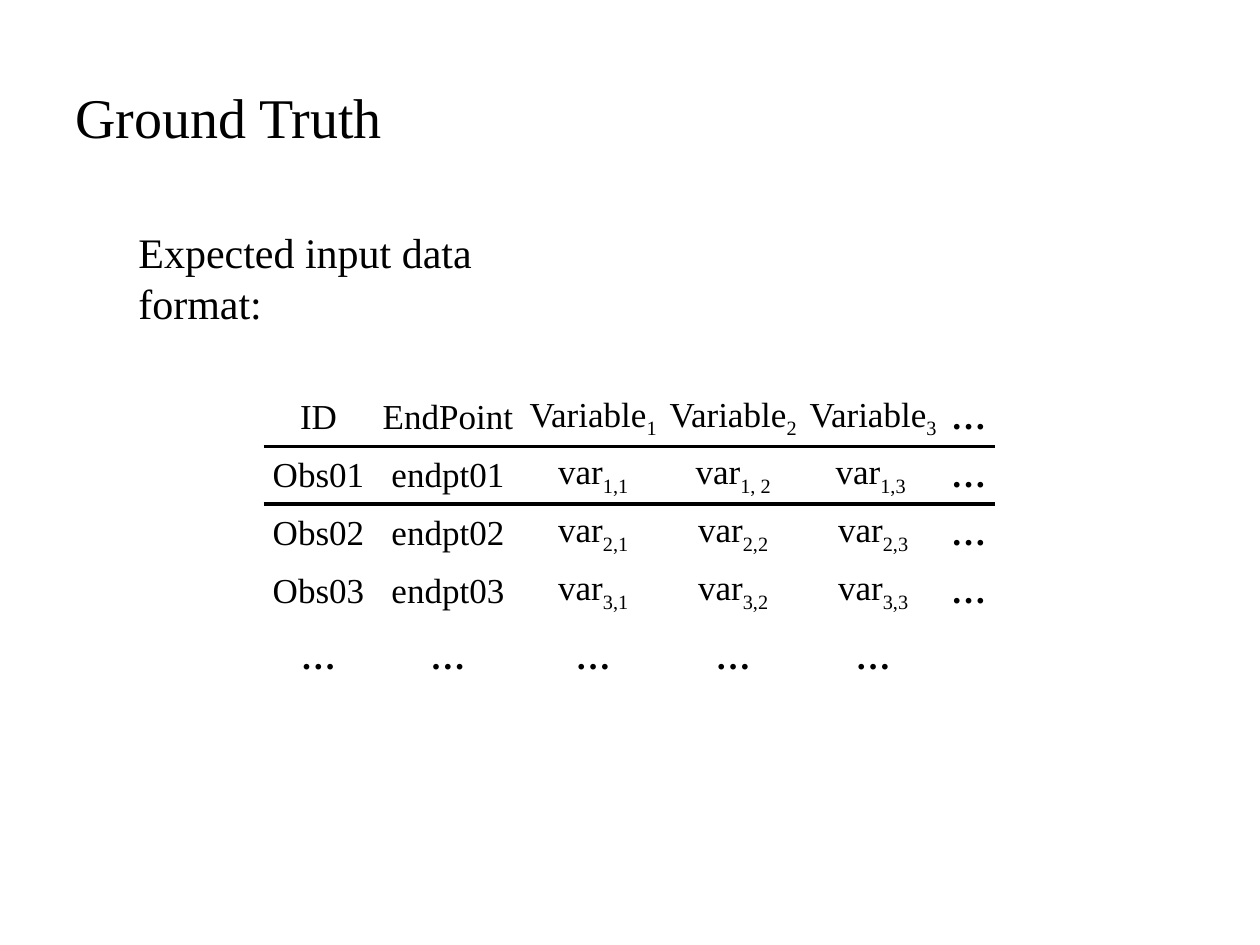
from dataclasses import dataclass

from lxml.etree import SubElement
from pptx import Presentation
from pptx.dml.color import RGBColor
from pptx.enum.text import MSO_ANCHOR as Anchor, PP_ALIGN as Align
from pptx.oxml.ns import qn
from pptx.util import Pt

FONT = "Times New Roman"
INK = "000000"
ELLIPSIS = "…"


@dataclass
class Label:
    text: str
    left: float
    top: float
    width: float
    height: float
    size: int
    anchor: Anchor


@dataclass
class Entry:
    base: str
    sub: str = ""


LABELS = [
    Label("Ground Truth", 36, 21.6, 648, 90, 32, Anchor.MIDDLE),
    Label("Expected input data format:", 72, 126, 278, 36, 24, Anchor.TOP),
]

# Observations: one row per index, one variable column per subscript
INDEXES = ["1", "2", "3"]
SPACED_SUBS = {"1,2": "1, 2", "1,3": "1,3 "}
COLUMN_WIDTHS = [62, 86, 80, 80, 80, 29]
ROW_HEIGHT = 33


def rgb(code: str) -> RGBColor:
    return RGBColor.from_string(code)


def add_run(paragraph, text: str, size: int, bold: bool = False, subscript: bool = False) -> None:
    run = paragraph.add_run()
    run.text = text
    for name, value in {"name": FONT, "size": Pt(size), "bold": bold}.items():
        setattr(run.font, name, value)
    run.font.color.rgb = rgb(INK)
    if subscript:
        run._r.get_or_add_rPr().set("baseline", "-25000")


def add_label(slide, label: Label) -> None:
    box = slide.shapes.add_textbox(Pt(label.left), Pt(label.top), Pt(label.width), Pt(label.height))
    frame = box.text_frame
    for name, value in {"word_wrap": True, "vertical_anchor": label.anchor}.items():
        setattr(frame, name, value)
    add_run(frame.paragraphs[0], label.text, label.size)


def add_rule(cell, side: str) -> None:
    line = SubElement(cell._tc.get_or_add_tcPr(), qn(f"a:{side}"), w=str(Pt(2)))
    fill = SubElement(line, qn("a:solidFill"))
    SubElement(fill, qn("a:srgbClr"), val=INK)


def fill_cell(cell, entry: Entry, anchor: Anchor) -> None:
    cell.fill.background()
    cell_format = {
        "margin_left": Pt(0.7), "margin_right": Pt(0.7), "margin_top": Pt(0.7),
        "margin_bottom": Pt(0), "vertical_anchor": anchor,
    }
    for name, value in cell_format.items():
        setattr(cell, name, value)
    paragraph = cell.text_frame.paragraphs[0]
    paragraph.alignment = Align.CENTER
    if entry.base:
        add_run(paragraph, entry.base, 20, bold=entry.base == ELLIPSIS)
    if entry.sub:
        add_run(paragraph, entry.sub, 20, subscript=True)


def data_rows() -> list[list[Entry]]:
    more = Entry(ELLIPSIS)
    rows = [[Entry("ID"), Entry("EndPoint"), *(Entry("Variable", i) for i in INDEXES), more]]
    for row in INDEXES:
        subs = [f"{row},{column}" for column in INDEXES]
        values = [Entry("var", SPACED_SUBS.get(sub, sub)) for sub in subs]
        rows.append([Entry(f"Obs0{row}"), Entry(f"endpt0{row}"), *values, more])
    rows.append([more] * 5 + [Entry("")])
    return rows


def add_data_table(slide) -> None:
    rows = data_rows()
    table = slide.shapes.add_table(
        len(rows), len(COLUMN_WIDTHS), Pt(151), Pt(222),
        Pt(sum(COLUMN_WIDTHS)), Pt(ROW_HEIGHT * len(rows)),
    ).table
    for name in ("first_row", "horz_banding"):
        setattr(table, name, False)
    for column, width in zip(table.columns, COLUMN_WIDTHS):
        column.width = Pt(width)
    for r, entries in enumerate(rows):
        table.rows[r].height = Pt(ROW_HEIGHT)
        anchor = Anchor.BOTTOM if r == len(rows) - 1 else Anchor.MIDDLE
        for c, entry in enumerate(entries):
            cell = table.cell(r, c)
            # Rule between header and observations; borders precede the fill
            if r < 2:
                add_rule(cell, "lnT" if r else "lnB")
            fill_cell(cell, entry, anchor)


def main() -> None:
    deck = Presentation()
    deck.slide_width, deck.slide_height = Pt(720), Pt(540)
    slide = deck.slides.add_slide(deck.slide_layouts[6])

    # Title and lead-in
    for label in LABELS:
        add_label(slide, label)

    # Expected input format
    add_data_table(slide)
    deck.save("out.pptx")


if __name__ == "__main__":
    main()
